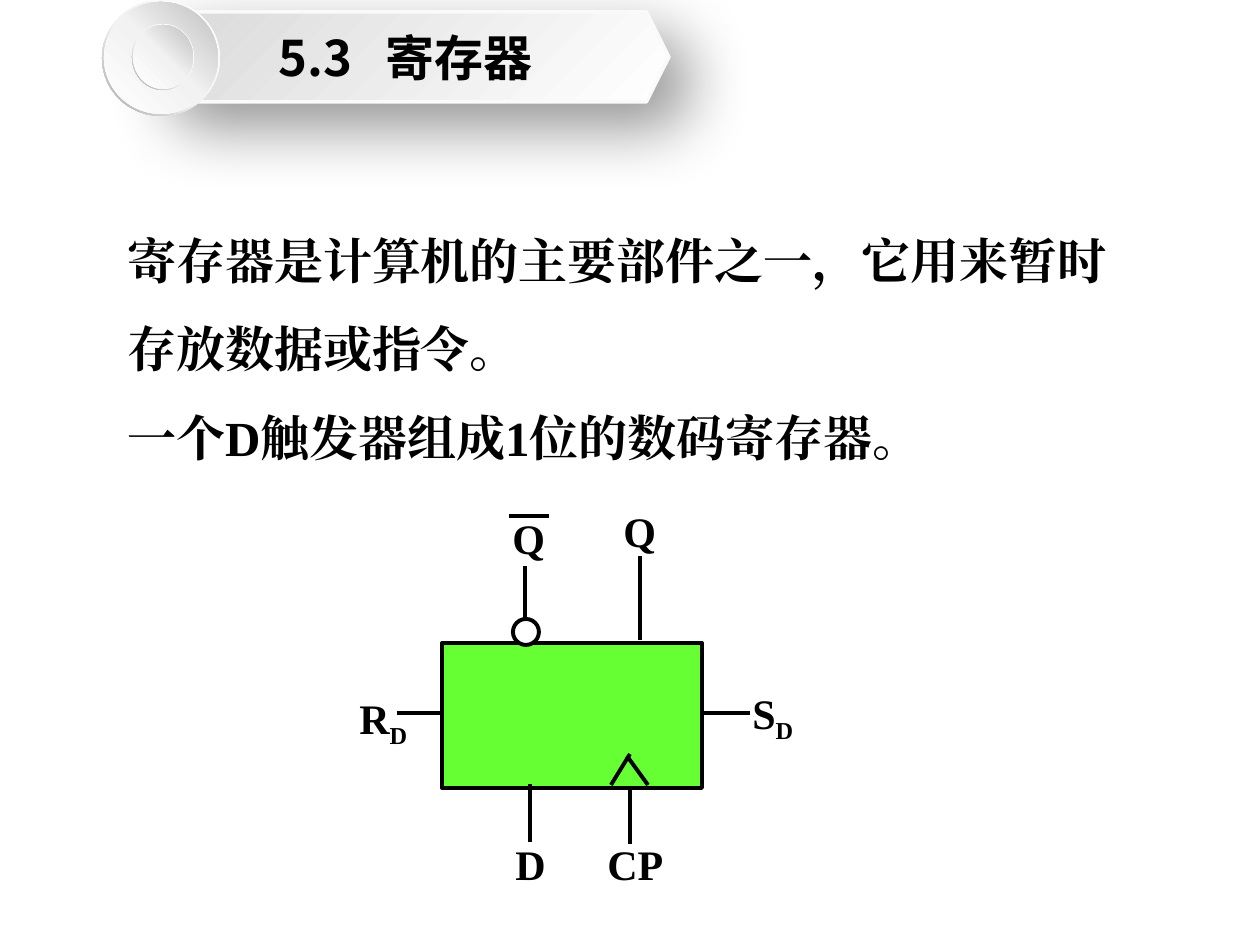
from dataclasses import dataclass
from lxml.etree import SubElement
from pptx import Presentation
from pptx.dml.color import RGBColor
from pptx.enum.shapes import MSO_CONNECTOR, MSO_SHAPE
from pptx.enum.text import MSO_ANCHOR, PP_ALIGN
from pptx.oxml.ns import qn
from pptx.util import Emu, Pt

SCALE = 914400 // 126


@dataclass(frozen=True)
class Theme:
    ink: str = "000000"
    white: str = "FFFFFF"
    chip: str = "66FF33"
    edge: str = "FAFAFA"
    banner: tuple = ((0, "FFFFFF"), (100, "D9D9D9"))
    ring: tuple = ((0, "FFFFFF"), (55, "F2F2F2"), (100, "A6A6A6"))
    disc: tuple = ((0, "FFFFFF"), (51, "F2F2F2"), (100, "BFBFBF"))
    latin: str = "Times New Roman"
    heading: str = "Noto Sans CJK SC"
    body_size: int = 28
    label_size: int = 24
    stroke: float = 2.25


THEME = Theme()


def px(*lengths):
    return [Emu(round(length * SCALE)) for length in lengths]


def write_text(frame, text, size=THEME.body_size, font=THEME.latin, subscript="",
               align=PP_ALIGN.LEFT, spacing=None, wrap=True):
    frame.word_wrap = wrap
    para = frame.paragraphs[0]
    para.alignment = align
    if spacing:
        para.line_spacing = spacing
    for part in filter(None, (text, subscript)):
        span = para.add_run()
        span.text = part
        span.font.size, span.font.bold, span.font.name = Pt(size), True, font
        span.font.color.rgb = RGBColor.from_string(THEME.ink)
        properties = span.font._element
        SubElement(properties, qn("a:ea")).set("typeface", font)
        if part == subscript:
            properties.set("baseline", "-25000")


def add_text(page, box, text, **style):
    write_text(page.shapes.add_textbox(*px(*box)).text_frame, text, **style)


def fill_gradient(shape, stops, angle):
    shape.fill.gradient()
    shape.fill.gradient_angle = 360 - angle
    stop_list = shape._element.spPr.find(qn("a:gradFill")).find(qn("a:gsLst"))
    for old_stop in list(stop_list):
        stop_list.remove(old_stop)
    for position, color in stops:
        stop = SubElement(stop_list, qn("a:gs"), pos=str(position * 1000))
        SubElement(stop, qn("a:srgbClr"), val=color)


def add_shape(page, kind, box, fill, angle=None, line=None, width=THEME.stroke):
    shape = page.shapes.add_shape(kind, *px(*box))
    shape.shadow.inherit = False
    if angle is None:
        shape.fill.solid()
        shape.fill.fore_color.rgb = RGBColor.from_string(fill)
    else:
        fill_gradient(shape, fill, angle)
    if line:
        shape.line.color.rgb = RGBColor.from_string(line)
        shape.line.width = Pt(width)
    else:
        shape.line.fill.background()
    return shape


def add_shadow(shape):
    effects = shape._element.spPr.find(qn("a:effectLst"))
    shadow = SubElement(effects, qn("a:outerShdw"), blurRad=str(Pt(38)), dist=str(Pt(19)),
                        dir="2700000", algn="tl", rotWithShape="0")
    color = SubElement(shadow, qn("a:srgbClr"), val=THEME.ink)
    SubElement(color, qn("a:alpha"), val="42000")


def add_line(page, *ends):
    line = page.shapes.add_connector(MSO_CONNECTOR.STRAIGHT, *px(*ends))
    line.line.color.rgb = RGBColor.from_string(THEME.ink)
    line.line.width = Pt(THEME.stroke)
    SubElement(line._element.spPr, qn("a:effectLst"))


def build_banner(page, left, top, title):
    # Title plate
    plate = add_shape(page, MSO_SHAPE.HEXAGON, (left + 40, top + 12, 527, 90),
                      THEME.banner, 225, THEME.edge, 2)
    add_shadow(plate)
    plate.text_frame.vertical_anchor = MSO_ANCHOR.MIDDLE
    write_text(plate.text_frame, title, font=THEME.heading, align=PP_ALIGN.CENTER)
    # Large and small buttons, each a disc inside a thin ring
    for x, y, width, height, inset in ((0, 0, 118, 116, 2), (30, 24, 62, 66, 1)):
        ring = add_shape(page, MSO_SHAPE.DONUT, (left + x, top + y, width, height),
                         THEME.ring, 135)
        ring.adjustments[0] = 0.05
        add_shape(page, MSO_SHAPE.OVAL, (left + x + inset, top + y + inset,
                                         width - 2 * inset, height - 2 * inset),
                  THEME.disc, 315)


def build_body(page, left, top):
    add_text(page, (left, top, 1031, 180),
             "寄存器是计算机的主要部件之一，它用来暂时存放数据或指令。", spacing=1.5)
    add_text(page, (left, top + 206, 832, 72),
             "一个D触发器组成1位的数码寄存器。", wrap=False)


def build_flip_flop(page, left, top, width, height):
    add_shape(page, MSO_SHAPE.RECTANGLE, (left, top, width, height), THEME.chip,
              line=THEME.ink)
    # Pins, clock wedge and the bar over the inverted output
    lines = (
        (262, 70, 308, 70), (-45, 70, -1, 70),
        (88, 141, 88, 199), (188, 144, 188, 201),
        (169, 142, 188, 111), (185, 113, 206, 142),
        (67, -127, 107, -127), (83, -77, 83, -19), (198, -87, 198, -3),
    )
    for x1, y1, x2, y2 in lines:
        add_line(page, left + x1, top + y1, left + x2, top + y2)
    # Pin labels
    labels = (
        (-95, 43, 105, "R", "D"), (298, 38, 84, "S", "D"),
        (61, 189, 79, "D", ""), (153, 189, 111, "CP", ""),
        (169, -144, 82, "Q", ""), (58, -137, 68, "Q", ""),
    )
    for x, y, label_width, name, subscript in labels:
        add_text(page, (left + x, top + y, label_width, 64), name,
                 size=THEME.label_size, subscript=subscript)
    # Inversion bubble
    add_shape(page, MSO_SHAPE.OVAL, (left + 71, top - 24, 26, 26), THEME.white,
              line=THEME.ink)


deck = Presentation()
deck.slide_width, deck.slide_height = px(1260, 945)
page = deck.slides.add_slide(deck.slide_layouts[6])
build_banner(page, 102, 0, "5.3   寄存器")
build_body(page, 115, 195)
build_flip_flop(page, 442, 643, 260, 145)
deck.save("out.pptx")
